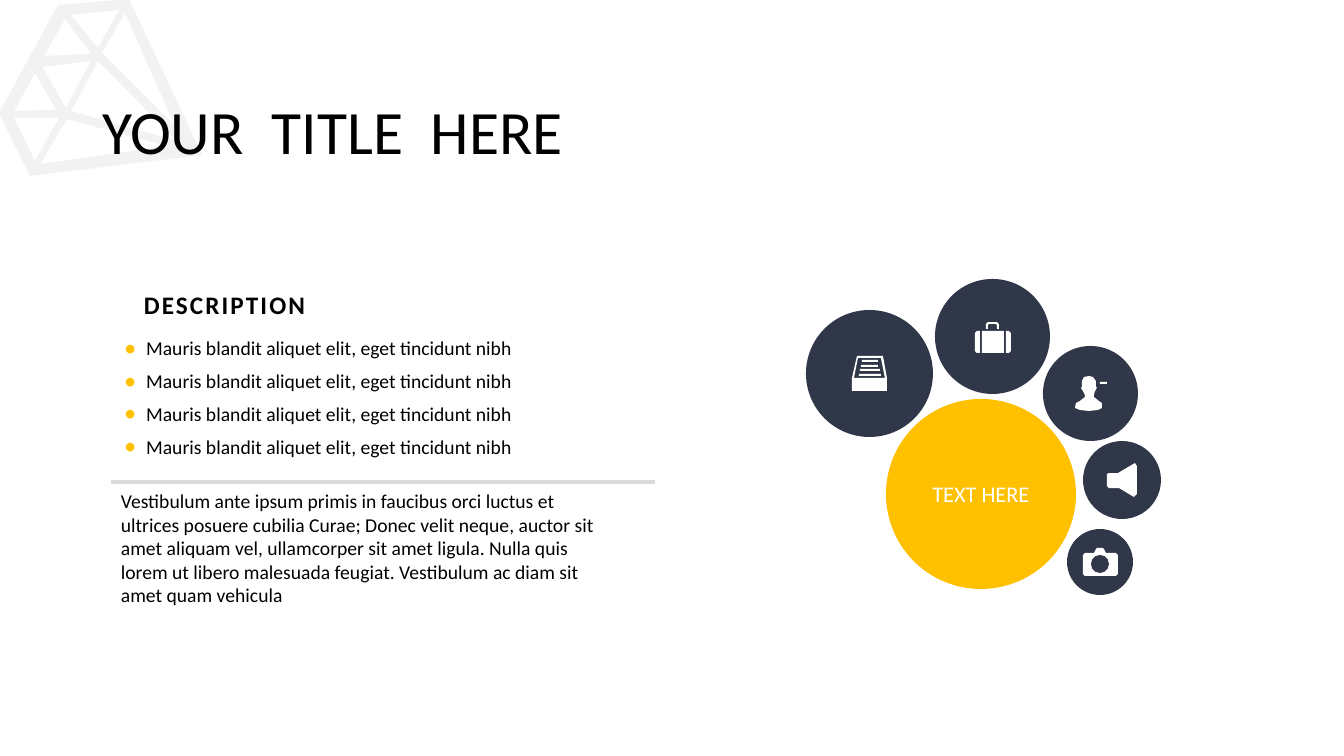
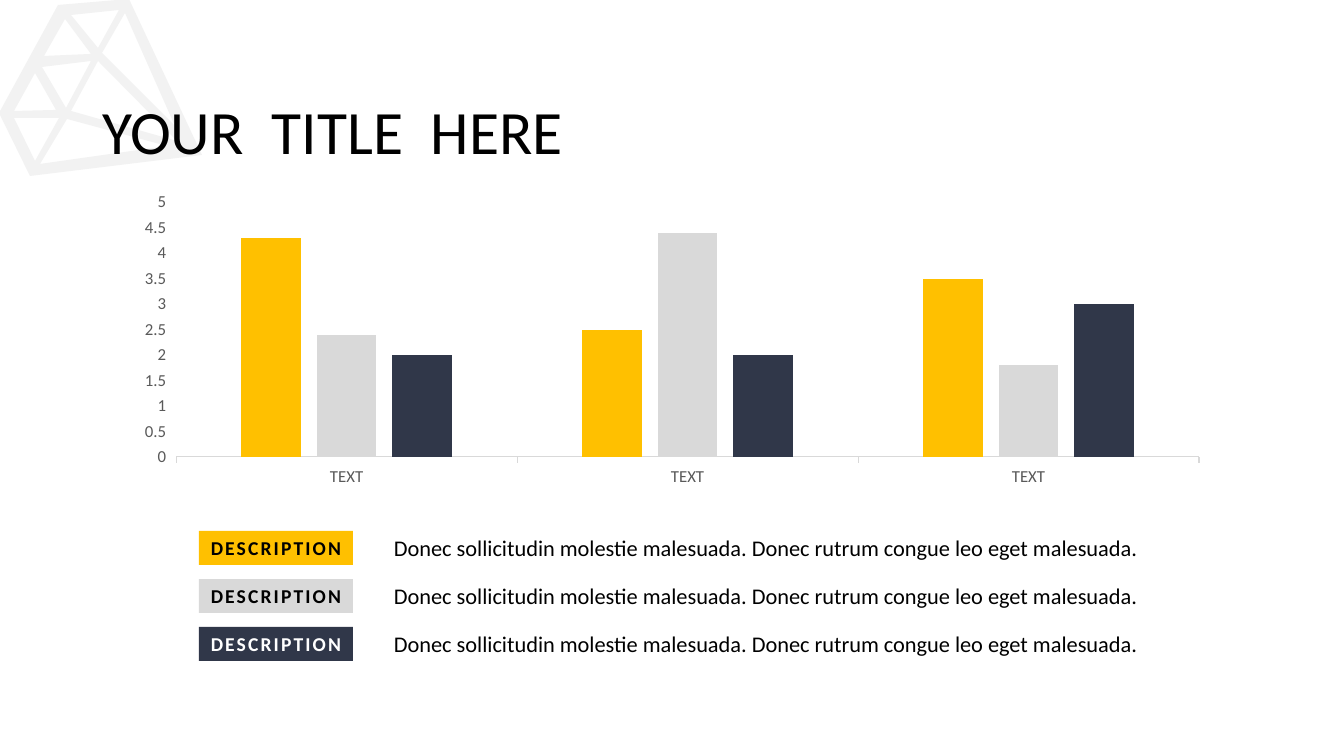
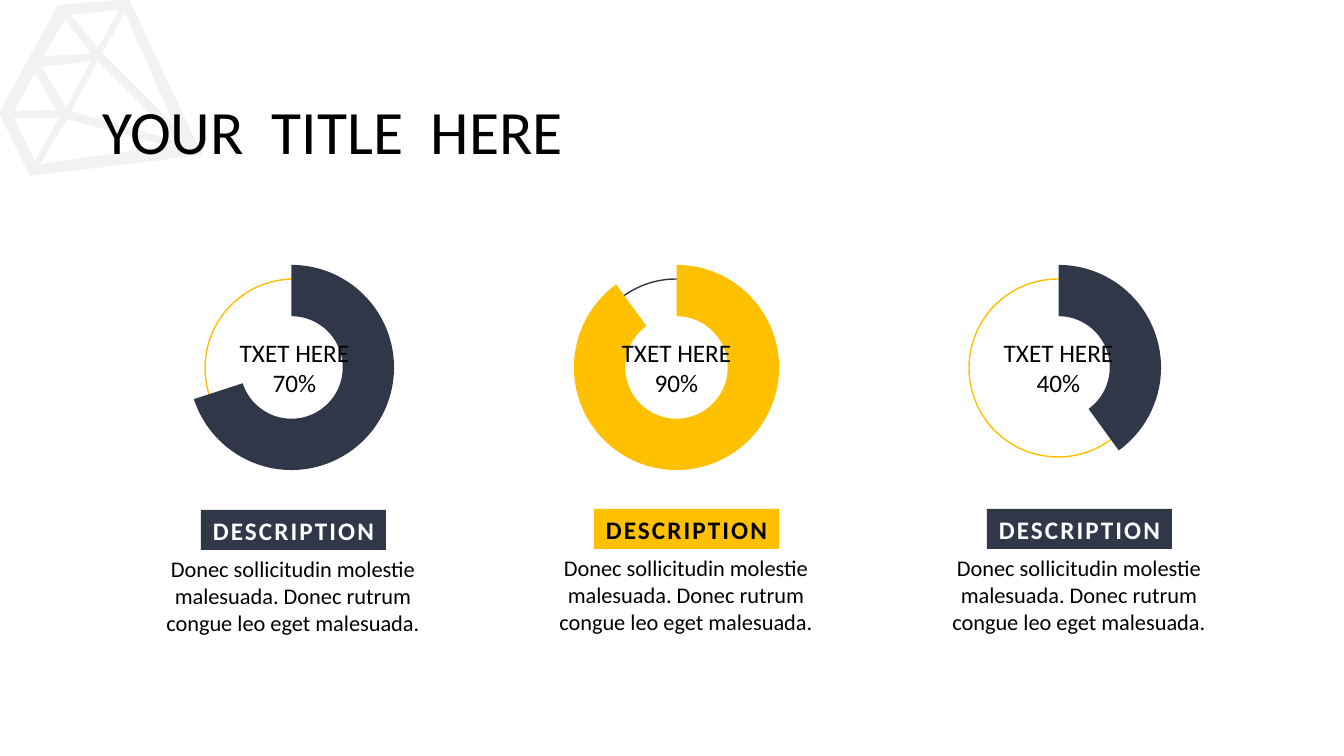
from lxml.etree import SubElement
from pptx import Presentation
from pptx.chart.data import CategoryChartData
from pptx.dml.color import RGBColor
from pptx.enum.chart import XL_CHART_TYPE as ChartKind, XL_TICK_MARK as Tick
from pptx.enum.shapes import MSO_CONNECTOR as Connector, MSO_SHAPE as Preset
from pptx.enum.text import MSO_ANCHOR as Anchor, MSO_AUTO_SIZE as Fit, PP_ALIGN as Align
from pptx.oxml.ns import qn
from pptx.util import Pt

SCALE = 12192000 / 1344
FONT = "Calibri"
GOLD, NAVY, GREY, PALE = "FFC000", "303749", "D9D9D9", "F2F2F2"
BLACK, WHITE, AXIS_TEXT = "000000", "FFFFFF", "595959"

TITLE = "YOUR  TITLE  HERE"
LABEL = "DESCRIPTION"
BULLETS = ["Mauris blandit aliquet elit, eget tincidunt nibh"] * 4
STORY = (
    "Vestibulum ante ipsum primis in faucibus orci luctus et ultrices posuere "
    "cubilia Curae; Donec velit neque, auctor sit amet aliquam vel, ullamcorper "
    "sit amet ligula. Nulla quis lorem ut libero malesuada feugiat. Vestibulum "
    "ac diam sit amet quam vehicula"
)
NOTE = "Donec sollicitudin molestie malesuada. Donec rutrum congue leo eget malesuada."

CRYSTAL = [
    [(58, 5), (-1, 113), (30, 176), (202, 155), (129, -1)],
    [(119, 10), (98, 48), (71, 15)],
    [(65, 19), (91, 54), (44, 56)],
    [(91, 61), (66, 108), (42, 67)],
    [(35, 73), (56, 110), (14, 111)],
    [(14, 118), (59, 118), (35, 161)],
    [(40, 164), (67, 119), (167, 146)],
    [(71, 111), (98, 61), (177, 141)],
    [(175, 126), (102, 53), (125, 13)],
]
SATELLITES = [(806, 310, 127), (935, 279, 115), (1043, 346, 95),
              (1083, 441, 78), (1067, 529, 66)]


def bar(left, top, width, height):
    right, bottom = left + width, top + height
    return [(left, top), (right, top), (right, bottom), (left, bottom)]


DRAWER = [
    [(857, 356), (883, 356), (887, 378), (887, 391), (852, 391), (852, 378)],
    [(858, 358), (881, 358), (885, 378), (854, 378)],
    bar(859, 374, 22, 2), bar(860, 369, 20, 2),
    bar(861, 365, 17, 2), bar(862, 360, 16, 2),
]
SUITCASE = [
    [(977, 331), (980, 331), (980, 353), (977, 353), (975, 351), (975, 333)],
    bar(982, 331, 22, 22),
    [(1006, 331), (1009, 331), (1011, 333), (1011, 351), (1009, 353), (1006, 353)],
    [(986, 329), (986, 324), (988, 322), (997, 322), (999, 324), (999, 329),
     (997, 329), (997, 325), (996, 324), (989, 324), (988, 325), (988, 329)],
]
PERSON = [
    [(1099, 401), (1094, 397), (1094, 395), (1095, 391), (1096, 390), (1097, 387),
     (1096, 387), (1096, 381), (1093, 377), (1089, 376), (1084, 377), (1082, 381),
     (1082, 387), (1081, 388), (1083, 391), (1085, 395), (1085, 397), (1080, 401),
     (1076, 403), (1075, 408), (1080, 410), (1089, 411), (1098, 410), (1102, 408),
     (1102, 403)],
    bar(1100, 382, 7, 2),
]
SPEAKER = [
    [(1135, 463), (1118, 473), (1109, 473), (1107, 474), (1107, 486), (1109, 488),
     (1119, 488), (1134, 497), (1137, 494), (1137, 466)],
]
CAMERA = [
    [(1116, 553), (1106, 553), (1104, 549), (1103, 548), (1097, 548), (1096, 549),
     (1094, 553), (1085, 553), (1083, 555), (1083, 574), (1085, 576), (1116, 576),
     (1118, 574), (1118, 555)],
]
LENS = (1091, 555, 18, 18)

COLUMN_SERIES = [
    ("Series 1", (4.3, 2.5, 3.5), GOLD, BLACK),
    ("Series 2", (2.4, 4.4, 1.8), GREY, BLACK),
    ("Series 3", (2, 2, 3), NAVY, WHITE),
]
RINGS = [
    (70, NAVY, GOLD, WHITE, 98, 510),
    (90, GOLD, NAVY, BLACK, 483, 509),
    (40, NAVY, GOLD, WHITE, 865, 509),
]


def px(*lengths):
    return [round(length * SCALE) for length in lengths]


def color(code):
    return RGBColor.from_string(code)


def paint(target, code):
    target.fill.solid()
    target.fill.fore_color.rgb = color(code)


def add_span(para, text, size, code=BLACK, bold=False, spacing=0):
    span = para.add_run()
    span.text = text
    span.font.name = FONT
    span.font.size = Pt(size)
    span.font.bold = bold
    span.font.color.rgb = color(code)
    if spacing:
        span.font._element.set("spc", str(spacing))


def add_text(page, area, lines, size, align=Align.LEFT, wrap=True, **style):
    box = page.shapes.add_textbox(*px(*area))
    box.text_frame.word_wrap = wrap
    for index, line in enumerate(lines):
        para = box.text_frame.add_paragraph() if index else box.text_frame.paragraphs[0]
        para.alignment = align
        add_span(para, line, size, **style)


def add_preset(page, kind, area, fill=None, outline=None):
    shape = page.shapes.add_shape(kind, *px(*area))
    shape.shadow.inherit = False
    if fill:
        paint(shape, fill)
    else:
        shape.fill.background()
    if outline:
        shape.line.color.rgb = color(outline)
        shape.line.width = Pt(1)
    else:
        shape.line.fill.background()
    return shape


def fill_caption(shape, text, size, code, **style):
    shape.text_frame.word_wrap = False
    para = shape.text_frame.paragraphs[0]
    para.alignment = Align.CENTER
    add_span(para, text, size, code, **style)


def add_tag(page, area, size, fill, code):
    tag = add_preset(page, Preset.RECTANGLE, area, fill)
    fill_caption(tag, LABEL, size, code, bold=True, spacing=150)


def add_outline(page, contours, fill):
    builder = page.shapes.build_freeform(*contours[0][0], scale=SCALE)
    for index, points in enumerate(contours):
        if index:
            builder.move_to(*points[0])
        builder.add_line_segments(points[1:], close=True)
    shape = builder.convert_to_shape()
    shape.shadow.inherit = False
    paint(shape, fill)
    shape.line.fill.background()
    return shape


def place(holder, area, anchor):
    holder.left, holder.top, holder.width, holder.height = px(*area)
    frame = holder.text_frame
    frame.auto_size = Fit.NONE
    frame.vertical_anchor = anchor
    return frame


def add_page(deck, layout_index):
    page = deck.slides.add_slide(deck.slide_layouts[layout_index])
    frame = place(page.shapes.title, (92, 40, 1159, 133), Anchor.BOTTOM)
    para = frame.paragraphs[0]
    para.alignment = Align.LEFT
    para.line_spacing = 0.9
    add_span(para, TITLE, 44)
    return page


def put_crystal_on_master(deck, page):
    crystal = add_outline(page, CRYSTAL, PALE).element
    crystal.nvSpPr.cNvPr.set("id", "50")
    deck.slide_master.shapes.element.insert(2, crystal)


def add_bullet(para):
    props = para._p.get_or_add_pPr()
    indent = px(22)[0]
    props.set("marL", str(indent))
    props.set("indent", str(-indent))
    SubElement(SubElement(props, qn("a:buClr")), qn("a:srgbClr")).set("val", GOLD)
    SubElement(props, qn("a:buSzPct")).set("val", "125000")
    SubElement(props, qn("a:buFont")).set("typeface", FONT)
    SubElement(props, qn("a:buChar")).set("char", "•")


def add_chart(page, kind, area, categories, series):
    data = CategoryChartData()
    data.categories = categories
    for name, values in series:
        data.add_series(name, values)
    chart = page.shapes.add_chart(kind, *px(*area), data).chart
    chart.has_legend = chart.has_title = False
    chart.font.name = FONT
    chart.font.size = Pt(10)
    chart.font.color.rgb = color(BLACK)
    return chart


def build_circles(page):
    frame = place(page.placeholders[1], (114, 331, 450, 140), Anchor.TOP)
    for index, line in enumerate(BULLETS):
        para = frame.add_paragraph() if index else frame.paragraphs[0]
        para.space_before = Pt(6.7 if index else 0)
        add_bullet(para)
        add_span(para, line, 14)
    add_text(page, (134, 284, 186, 40), [LABEL], 18, wrap=False, bold=True, spacing=150)
    add_text(page, (111, 484, 514, 129), [STORY], 14)
    rule = page.shapes.add_connector(Connector.STRAIGHT, *px(111, 482, 655, 482))
    rule.line.color.rgb = color(GREY)
    rule.line.width = Pt(2.25)
    SubElement(rule.element.spPr, qn("a:effectLst"))

    hub = add_preset(page, Preset.OVAL, (886, 399, 190, 190), GOLD)
    fill_caption(hub, "TEXT HERE", 16, WHITE)
    for left, top, size in SATELLITES:
        add_preset(page, Preset.OVAL, (left, top, size, size), NAVY)
    for icon in (DRAWER, SUITCASE, PERSON, SPEAKER, CAMERA):
        add_outline(page, icon, WHITE)
    add_preset(page, Preset.OVAL, LENS, NAVY)


def build_columns(page):
    chart = add_chart(page, ChartKind.COLUMN_CLUSTERED, (123, 186, 1098, 307),
                      ["TEXT"] * 3, [row[:2] for row in COLUMN_SERIES])
    plot = chart.plots[0]
    plot.vary_by_categories = False
    plot.gap_width, plot.overlap = 219, -27
    values = chart.value_axis
    values.minimum_scale, values.maximum_scale, values.major_unit = 0, 5, 0.5
    values.has_major_gridlines = False
    for axis in (chart.category_axis, values):
        axis.major_tick_mark = Tick.OUTSIDE
        axis.tick_labels.font.name = FONT
        axis.tick_labels.font.size = Pt(12)
        axis.tick_labels.font.color.rgb = color(AXIS_TEXT)
    values.format.line.fill.background()
    chart.category_axis.format.line.color.rgb = color(GREY)
    chart.category_axis.format.line.width = Pt(0.75)

    for index, (_, _, fill, code) in enumerate(COLUMN_SERIES):
        paint(plot.series[index].format, fill)
        top = 531 + 48 * index
        add_tag(page, (199, top, 154, 34), 14, fill, code)
        add_text(page, (384, top - 2, 793, 37), [NOTE], 16)


def build_rings(page):
    for index, (share, fill, outline, code, chart_left, tag_top) in enumerate(RINGS):
        circle_left, tag_left = 205 + 382 * index, 201 + 393 * index
        add_preset(page, Preset.OVAL, (circle_left, 279, 178, 178), outline=outline)
        chart = add_chart(page, ChartKind.DOUGHNUT, (chart_left, 251, 387, 233),
                          ["1", "2"], [("Series 1", (share, 100 - share))])
        plot = chart.plots[0]
        plot._element.find(qn("c:holeSize")).set("val", "75")
        done, rest = [plot.series[0].points[part].format for part in range(2)]
        paint(done, fill)
        rest.fill.background()
        for part in (done, rest):
            part.line.fill.background()
        add_text(page, (circle_left + 24, 332, 131, 72), ["TXET HERE", f"{share}%"],
                 18, Align.CENTER, wrap=False)
        add_tag(page, (tag_left, tag_top, 185, 40), 18, fill, code)
        add_text(page, (tag_left - 45, tag_top + 40, 274, 92), [NOTE], 16, Align.CENTER)


def main():
    deck = Presentation()
    deck.slide_width, deck.slide_height = px(1344, 756)
    pages = [add_page(deck, layout_index) for layout_index in (1, 5, 5)]
    put_crystal_on_master(deck, pages[0])
    for build, page in zip((build_circles, build_columns, build_rings), pages):
        build(page)
    deck.save("out.pptx")


if __name__ == "__main__":
    main()
